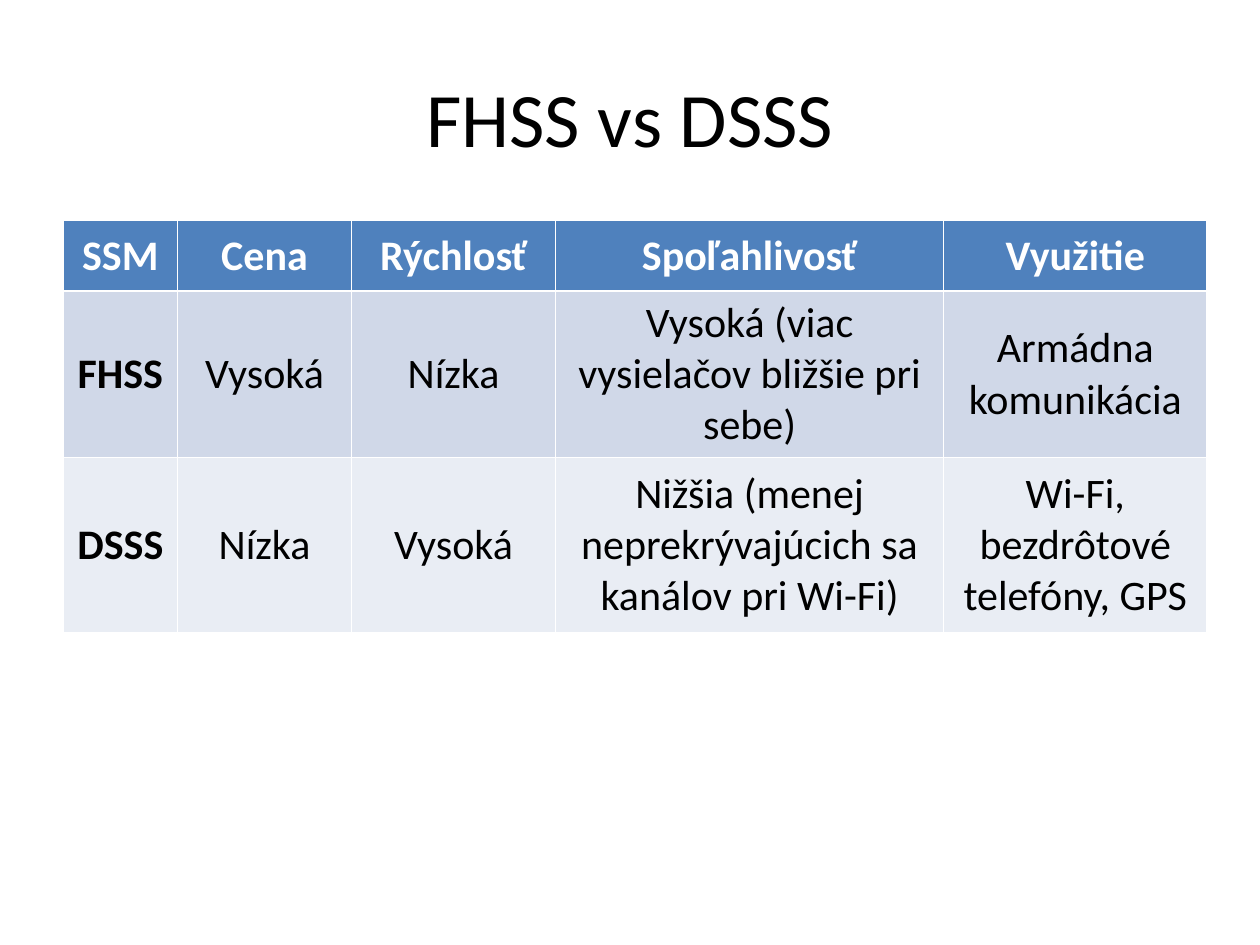
from pptx import Presentation
from pptx.dml.color import RGBColor
from pptx.enum import text
from pptx.util import Inches, Pt

FONT = "Calibri"
BLACK = RGBColor(0x00, 0x00, 0x00)
WHITE = RGBColor(0xFF, 0xFF, 0xFF)
HEADER_BLUE = RGBColor(0x4F, 0x81, 0xBD)
BAND_DARK = RGBColor(0xD0, 0xD8, 0xE8)
BAND_LIGHT = RGBColor(0xE9, 0xED, 0xF4)

HEADING = "FHSS vs DSSS"
COMPARISON = [
    ("SSM", "Cena", "Rýchlosť", "Spoľahlivosť", "Využitie"),
    ("FHSS", "Vysoká", "Nízka", "Vysoká (viac vysielačov bližšie pri sebe)",
     "Armádna komunikácia"),
    ("DSSS", "Nízka", "Vysoká",
     "Nižšia (menej neprekrývajúcich sa kanálov pri Wi-Fi)",
     "Wi-Fi, bezdrôtové telefóny, GPS"),
]
COLUMN_WIDTHS = [0.91, 1.38, 1.62, 3.08, 2.09]
ROW_HEIGHTS = [0.56, 1.3, 1.39]
ROW_FILLS = [HEADER_BLUE, BAND_DARK, BAND_LIGHT]


def format_text(frame, size, color, bold=False):
    frame.vertical_anchor = text.MSO_ANCHOR.MIDDLE
    for paragraph in frame.paragraphs:
        paragraph.alignment = text.PP_ALIGN.CENTER
        for run in paragraph.runs:
            run.font.name = FONT
            run.font.size = Pt(size)
            run.font.bold = bold
            run.font.color.rgb = color


def add_comparison(slide):
    comparison = slide.shapes.add_table(
        len(COMPARISON), len(COLUMN_WIDTHS), Inches(0.5), Inches(1.75),
        Inches(sum(COLUMN_WIDTHS)), Inches(sum(ROW_HEIGHTS))).table
    comparison.first_col = True
    for column, width in zip(comparison.columns, COLUMN_WIDTHS):
        column.width = Inches(width)
    for r, (row, height) in enumerate(zip(comparison.rows, ROW_HEIGHTS)):
        row.height = Inches(height)
        for c, cell in enumerate(row.cells):
            cell.text_frame.text = COMPARISON[r][c]
            cell.vertical_anchor = text.MSO_ANCHOR.MIDDLE
            cell.fill.solid()
            cell.fill.fore_color.rgb = ROW_FILLS[r]
            format_text(cell.text_frame, 24, WHITE if r == 0 else BLACK,
                        bold=r == 0 or c == 0)
    comparison.first_col = False


def main():
    deck = Presentation()
    deck.slide_width, deck.slide_height = Inches(10), Inches(7.5)
    slide = deck.slides.add_slide(deck.slide_layouts[5])
    heading = slide.shapes.title
    heading.left, heading.top = Inches(0.5), Inches(0.3)
    heading.width, heading.height = Inches(9), Inches(1.25)
    heading.text_frame.text = HEADING
    format_text(heading.text_frame, 44, BLACK)
    add_comparison(slide)
    deck.save("out.pptx")


if __name__ == "__main__":
    main()
